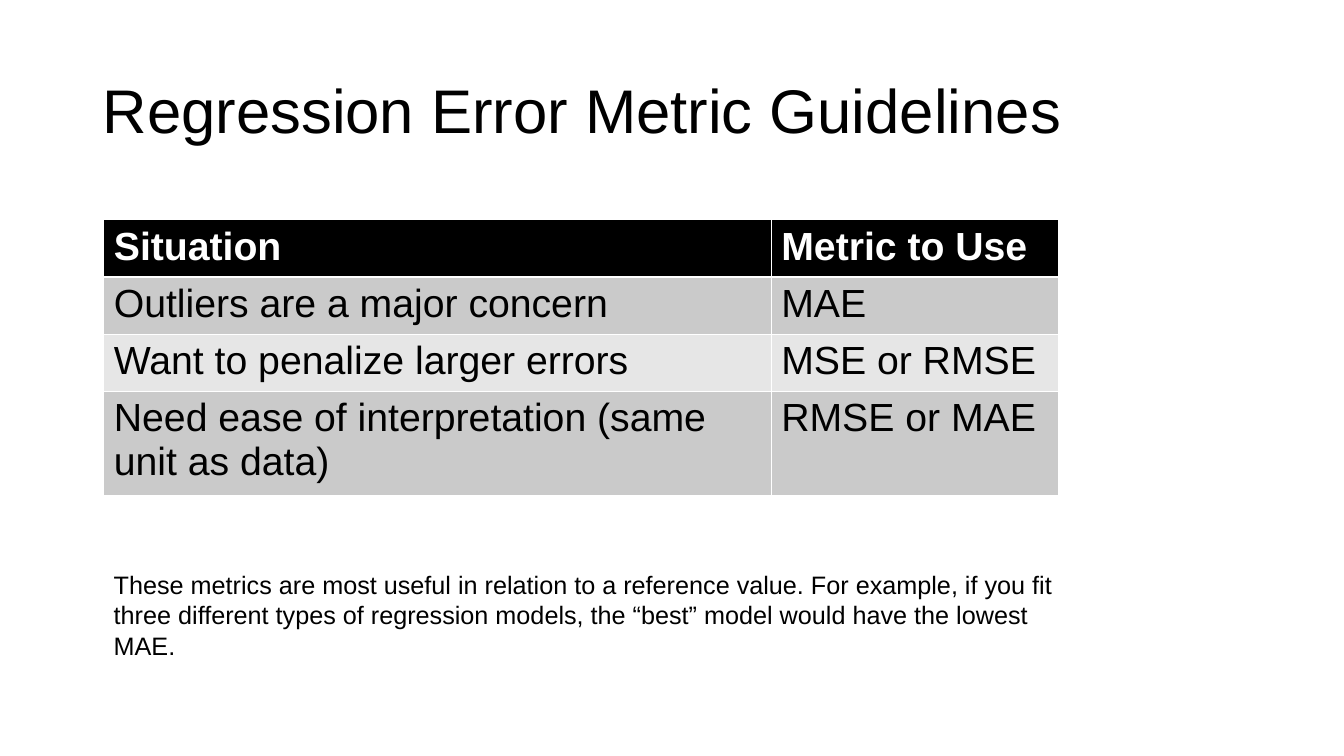
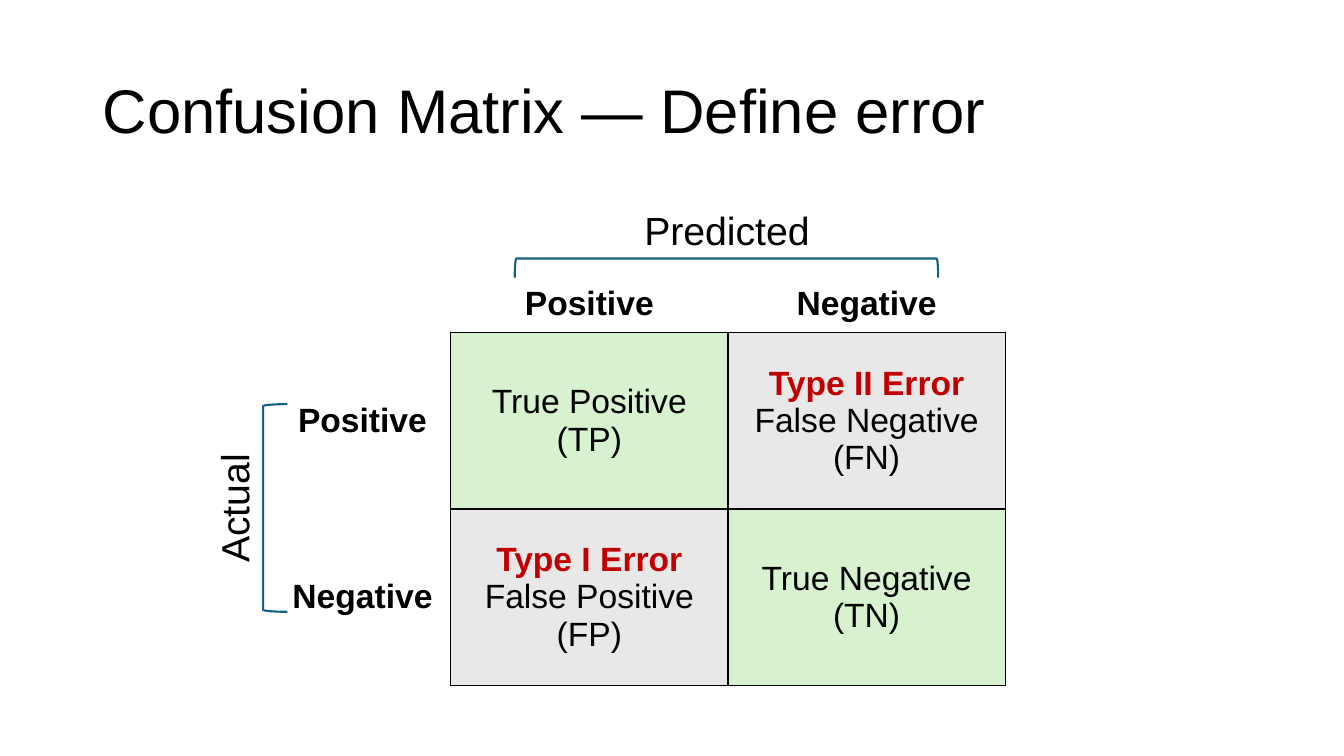
"""Build two slides on regression error metrics and the confusion matrix."""
from dataclasses import dataclass

from lxml.etree import SubElement
from pptx import Presentation
from pptx.dml.color import RGBColor as Color
from pptx.enum.shapes import MSO_SHAPE as Preset
from pptx.enum.text import MSO_ANCHOR as Anchor, PP_ALIGN as Align
from pptx.oxml import parse_xml
from pptx.oxml.ns import nsdecls, qn
from pptx.util import Inches, Pt


@dataclass(frozen=True)
class Theme:
    """Hold the font, colours and type sizes of the deck."""
    font: str = "Arial"
    ink: str = "000000"
    paper: str = "FFFFFF"
    band_dark: str = "CACACA"
    band_light: str = "E6E6E6"
    correct: str = "D8F2CF"
    wrong: str = "E8E8E8"
    alert: str = "C00000"
    bracket: str = "156082"
    title_size: int = 44
    label_size: int = 28
    matrix_size: int = 24
    note_size: int = 18
    border_width: float = 0.96
    bracket_width: float = 1.5


THEME = Theme()


def style_para(para, size, color=THEME.ink, bold=False, align=Align.LEFT):
    """Apply one look to a paragraph."""
    para.alignment = align
    for span in para.runs:
        span.font.name = THEME.font
        span.font.size = Pt(size)
        span.font.bold = bold
        span.font.color.rgb = Color.from_string(color)


def add_text(page, text, at, size, align=Align.LEFT, anchor=Anchor.TOP):
    """Add a wrapping text box and return it."""
    box = page.shapes.add_textbox(*map(Inches, at))
    frame = box.text_frame
    frame.word_wrap = True
    frame.vertical_anchor = anchor
    frame.text = text
    style_para(frame.paragraphs[0], size, align=align)
    return box


def add_page(deck, title):
    """Add a blank page with the shared title."""
    page = deck.slides.add_slide(deck.slide_layouts[6])
    box = add_text(page, title, (0.92, 0.4, 11.5, 1.45), THEME.title_size,
                   anchor=Anchor.MIDDLE)
    box.text_frame.paragraphs[0].line_spacing = 0.9
    return page


def add_grid(page, left, top, widths, heights):
    """Add a plain table with the given column widths and row heights."""
    size = map(Inches, (left, top, sum(widths), sum(heights)))
    table = page.shapes.add_table(len(heights), len(widths), *size).table
    table.first_row = table.horz_banding = False
    for column, width in zip(table.columns, widths):
        column.width = Inches(width)
    for row, height in zip(table.rows, heights):
        row.height = Inches(height)
    return table


def set_borders(cell, color, sides="LRTB"):
    """Draw the named sides of a cell and hide the others."""
    props = cell._tc.get_or_add_tcPr()
    for index, side in enumerate("LRTB"):
        line = parse_xml(f'<a:ln{side} {nsdecls("a")}/>')
        line.set("w", str(Pt(THEME.border_width)))
        if side in sides:
            fill = SubElement(line, qn("a:solidFill"))
            SubElement(fill, qn("a:srgbClr")).set("val", color)
        else:
            SubElement(line, qn("a:noFill"))
        props.insert(index, line)


def set_fill(cell, color):
    """Fill a cell, or clear it when there is no colour."""
    if color:
        cell.fill.solid()
        cell.fill.fore_color.rgb = Color.from_string(color)
    else:
        cell.fill.background()


def add_bracket(page, at, rotation=0):
    """Add an unfilled bracket."""
    bracket = page.shapes.add_shape(Preset.LEFT_BRACKET, *map(Inches, at))
    bracket.rotation = rotation
    bracket.adjustments[0] = 0.083
    bracket.shadow.inherit = False
    bracket.fill.background()
    bracket.line.color.rgb = Color.from_string(THEME.bracket)
    bracket.line.width = Pt(THEME.bracket_width)


def add_guideline_table(page, rows):
    """Add a banded table with a dark header row."""
    table = add_grid(page, 1.03, 2.18, (6.62, 2.85), (0.53, 0.53, 0.53, 0.96))
    for row_index, texts in enumerate(rows):
        header = row_index == 0
        band = THEME.band_dark if row_index % 2 else THEME.band_light
        for column_index, text in enumerate(texts):
            cell = table.cell(row_index, column_index)
            cell.text_frame.text = text
            style_para(cell.text_frame.paragraphs[0], THEME.label_size,
                       THEME.paper if header else THEME.ink, header)
            set_fill(cell, THEME.ink if header else band)
            set_borders(cell, THEME.paper)


def add_confusion_matrix(page, rows):
    """Add the matrix with bold labels and filled outcomes."""
    table = add_grid(page, 2.72, 2.73, (1.75, 2.75, 2.75), (0.57, 1.75, 1.75))
    for row_index, texts in enumerate(rows):
        for column_index, text in enumerate(texts):
            cell = table.cell(row_index, column_index)
            cell.vertical_anchor = Anchor.MIDDLE
            cell.text_frame.text = text
            label = row_index == 0 or column_index == 0
            error = not label and row_index != column_index
            for para_index, para in enumerate(cell.text_frame.paragraphs):
                alert = error and para_index == 0
                style_para(para, THEME.matrix_size,
                           THEME.alert if alert else THEME.ink,
                           label or alert, Align.CENTER)
            if label:
                set_fill(cell, None)
                inner = "R" if row_index else "B" if column_index else ""
                set_borders(cell, THEME.ink, inner)
            else:
                set_fill(cell, THEME.wrong if error else THEME.correct)
                set_borders(cell, THEME.ink)


def build_guidelines(deck):
    """Build the page on choosing a regression metric."""
    page = add_page(deck, "Regression Error Metric Guidelines")
    add_guideline_table(page, (
        ("Situation", "Metric to Use"),
        ("Outliers are a major concern", "MAE"),
        ("Want to penalize larger errors", "MSE or RMSE"),
        ("Need ease of interpretation (same unit as data)", "RMSE or MAE"),
    ))
    add_text(page, "These metrics are most useful in relation to a reference "
             "value. For example, if you fit three different types of "
             "regression models, the “best” model would have the lowest MAE.",
             (1.03, 5.6, 9.64, 1), THEME.note_size)


def build_matrix(deck):
    """Build the page on the confusion matrix."""
    page = add_page(deck, "Confusion Matrix — Define error")
    add_confusion_matrix(page, (
        ("", "Positive", "Negative"),
        ("Positive", "True Positive\n(TP)",
         "Type II Error\nFalse Negative (FN)"),
        ("Negative", "Type I Error\nFalse Positive (FP)",
         "True Negative (TN)"),
    ))
    axes = (
        ("Predicted", (6.05, 2), 0, (7.11, 0.56, 0.19, 4.2), 90),
        ("Actual", (1.16, 4.76), 270, (2.61, 4.01, 0.24, 2.06), 0),
    )
    for name, corner, turn, bracket_at, bracket_turn in axes:
        box = add_text(page, name, (*corner, 2.32, 0.57), THEME.label_size,
                       Align.CENTER)
        box.rotation = turn
        add_bracket(page, bracket_at, bracket_turn)


def main():
    """Build and save the deck."""
    deck = Presentation()
    deck.slide_width, deck.slide_height = Inches(13.33), Inches(7.5)
    build_guidelines(deck)
    build_matrix(deck)
    deck.save("out.pptx")


if __name__ == "__main__":
    main()
